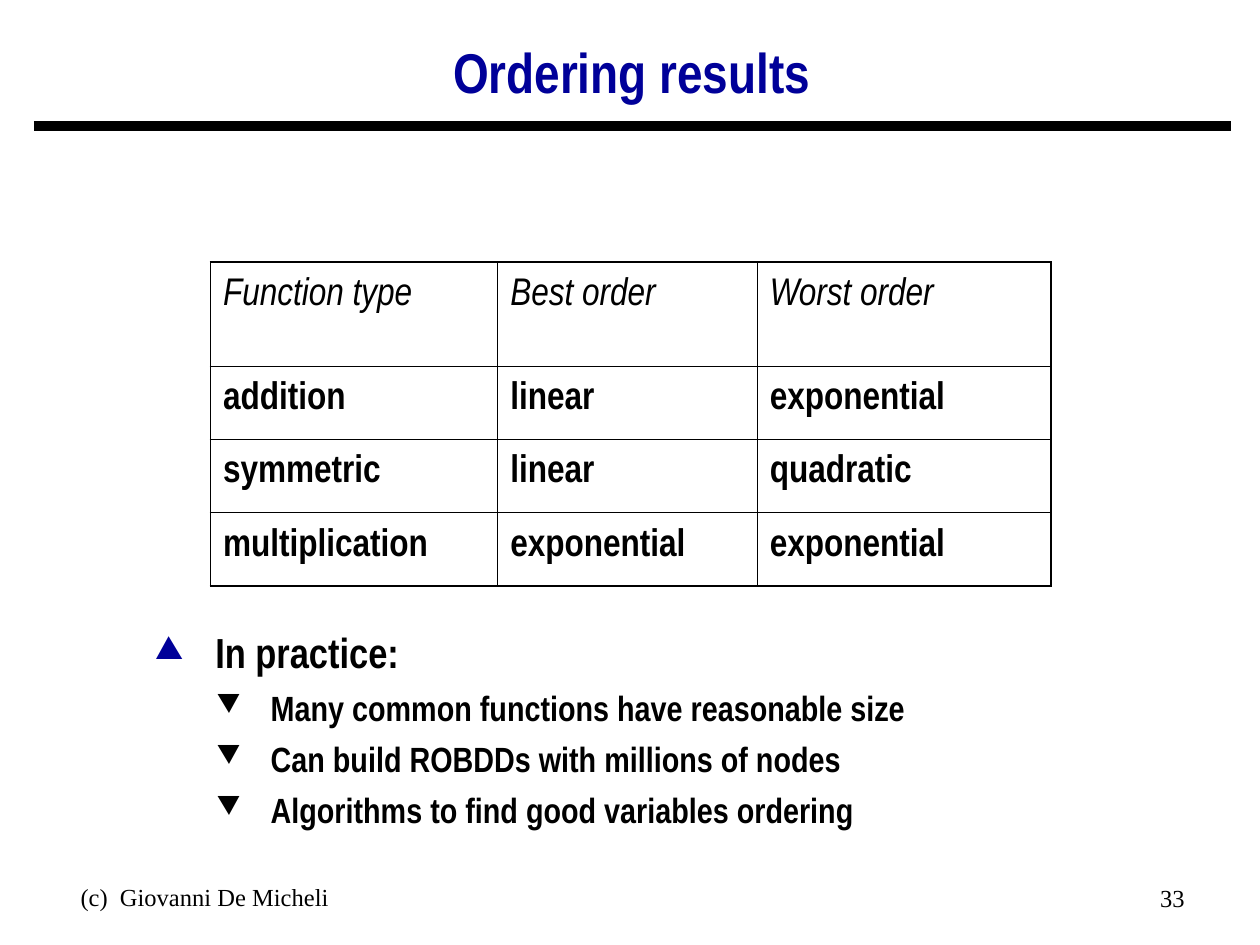
from dataclasses import dataclass

from pptx import Presentation
from pptx.dml.color import RGBColor
from pptx.enum.shapes import MSO_CONNECTOR
from pptx.enum.text import MSO_ANCHOR, PP_ALIGN
from pptx.oxml.ns import qn
from pptx.util import Inches, Pt
from lxml.etree import SubElement


@dataclass(frozen=True)
class Theme:
    navy: str = "000099"
    black: str = "000000"
    sans: str = "Arial Narrow"
    serif: str = "Times New Roman"
    title: int = 32
    point: int = 24
    cell: int = 22
    detail: int = 20
    footer: int = 14
    rule: float = 6
    outer: float = 1.08
    inner: float = 0.45


class Deck:
    def __init__(self, theme):
        self.theme = theme
        self.deck = Presentation()
        self.deck.slide_width = Inches(10)
        self.deck.slide_height = Inches(7.5)
        self.slide = self.deck.slides.add_slide(self.deck.slide_layouts[6])

    def run(self, para, text, size, color=None, face=None, bold=False, italic=False):
        run = para.add_run()
        run.text = text
        font = run.font
        font.name = face or self.theme.sans
        font.size = Pt(size)
        font.bold = bold
        font.italic = italic
        font.color.rgb = RGBColor.from_string(color or self.theme.black)

    def box(self, left, top, width, height, anchor=MSO_ANCHOR.TOP):
        shape = self.slide.shapes.add_textbox(
            Inches(left), Inches(top), Inches(width), Inches(height))
        frame = shape.text_frame
        frame.word_wrap = True
        frame.vertical_anchor = anchor
        return frame

    def rule(self, left, right, top):
        line = self.slide.shapes.add_connector(
            MSO_CONNECTOR.STRAIGHT, Inches(left), Inches(top), Inches(right), Inches(top))
        line.line.width = Pt(self.theme.rule)
        line.line.color.rgb = RGBColor.from_string(self.theme.black)
        SubElement(line._element.spPr, qn("a:effectLst"))

    def title(self, text):
        para = self.box(0.26, 0.22, 9.51, 0.75, MSO_ANCHOR.MIDDLE).paragraphs[0]
        para.alignment = PP_ALIGN.CENTER
        para.line_spacing = 0.9
        self.run(para, text, self.theme.title, self.theme.navy, bold=True)

    def bullet(self, para, mark, color, left, hang):
        props = para._p.get_or_add_pPr()
        props.set("marL", str(Inches(left)))
        props.set("indent", str(-Inches(hang)))
        tint = SubElement(props, qn("a:buClr"))
        SubElement(tint, qn("a:srgbClr")).set("val", color)
        SubElement(props, qn("a:buSzPct")).set("val", "75000")
        SubElement(props, qn("a:buChar")).set("char", mark)
        para.line_spacing = 0.9

    def points(self, head, items):
        theme = self.theme
        frame = self.box(0.62, 4.97, 8.75, 1.7)
        para = frame.paragraphs[0]
        self.bullet(para, "▲", theme.navy, 0.99, 0.48)
        self.run(para, head, theme.point, bold=True)
        for item in items:
            para = frame.add_paragraph()
            para.level = 1
            self.bullet(para, "▼", theme.black, 1.43, 0.43)
            para.space_before = Pt(7.5)
            self.run(para, item, theme.detail, bold=True)

    def border(self, cell, edges):
        props = cell._tc.get_or_add_tcPr()
        for side, outer in edges.items():
            width = self.theme.outer if outer else self.theme.inner
            line = SubElement(props, qn(f"a:ln{side}"), w=str(Pt(width)))
            fill = SubElement(line, qn("a:solidFill"))
            SubElement(fill, qn("a:srgbClr")).set("val", self.theme.black)

    def table(self, left, top, widths, heights, rows):
        table = self.slide.shapes.add_table(
            len(rows), len(widths), Inches(left), Inches(top),
            Inches(sum(widths)), Inches(sum(heights))).table
        table.first_row = False
        table.horz_banding = False
        for col, width in zip(table.columns, widths):
            col.width = Inches(width)
        for row, height in zip(table.rows, heights):
            row.height = Inches(height)
        for r, row in enumerate(rows):
            for c, text in enumerate(row):
                cell = table.cell(r, c)
                self.border(cell, {"L": c == 0, "R": c == len(widths) - 1,
                                   "T": r == 0, "B": r == len(rows) - 1})
                cell.fill.background()
                para = cell.text_frame.paragraphs[0]
                para.line_spacing = 1.25
                self.run(para, text, self.theme.cell, bold=r > 0, italic=r == 0)

    def footer(self, text, left, top, width, align):
        para = self.box(left, top, width, 0.52).paragraphs[0]
        para.alignment = align
        self.run(para, text, self.theme.footer, face=self.theme.serif)


def main():
    deck = Deck(Theme())
    deck.rule(0.27, 9.77, 1)
    deck.title("Ordering results")
    deck.table(1.67, 2.08, [2.28, 2.06, 2.33], [0.83] + [0.58] * 3, [
        ["Function type", "Best order", "Worst order"],
        ["addition", "linear", "exponential"],
        ["symmetric", "linear", "quadratic"],
        ["multiplication", "exponential", "exponential"],
    ])
    deck.points("In practice:", [
        "Many common functions have reasonable size",
        "Can build ROBDDs with millions of nodes",
        "Algorithms to find good variables ordering",
    ])
    deck.footer("(c)  Giovanni De Micheli", 0.16, 6.95, 2.93, PP_ALIGN.CENTER)
    deck.footer("33", 7.17, 6.96, 2.33, PP_ALIGN.RIGHT)
    deck.deck.save("out.pptx")


if __name__ == "__main__":
    main()
